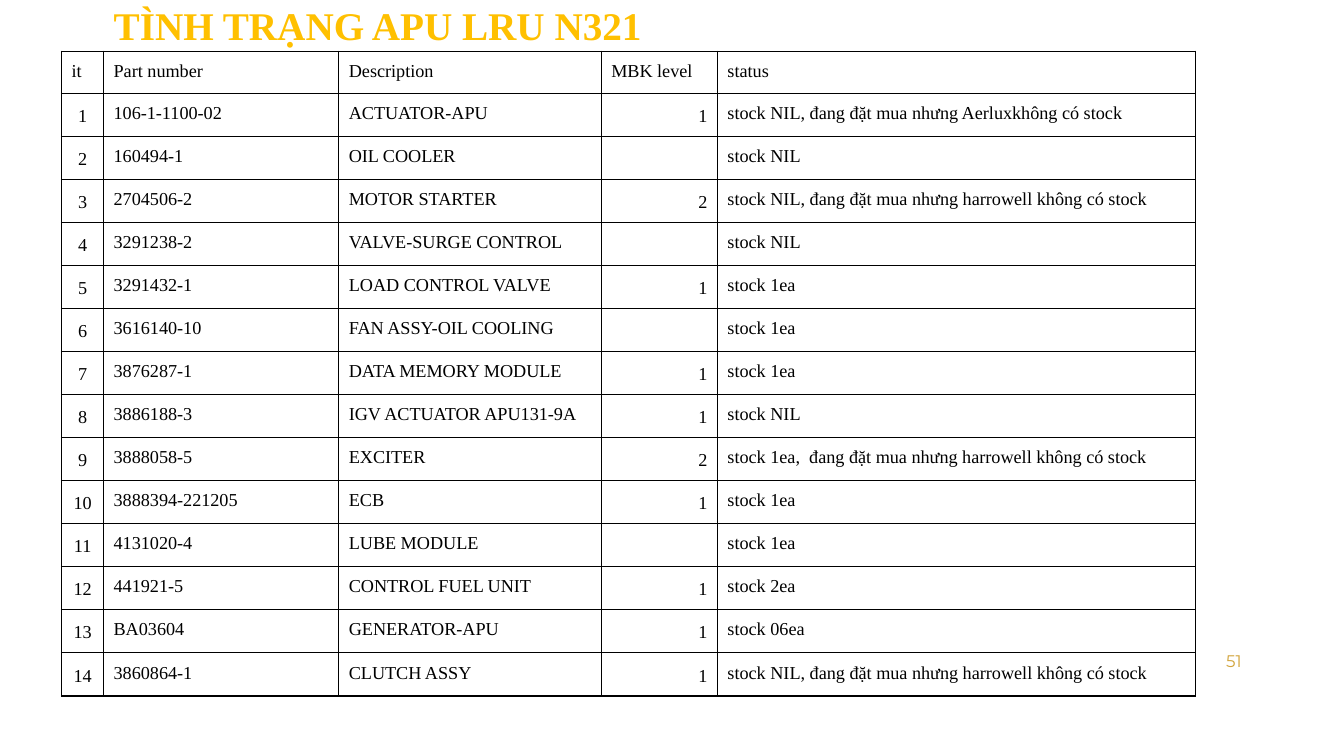
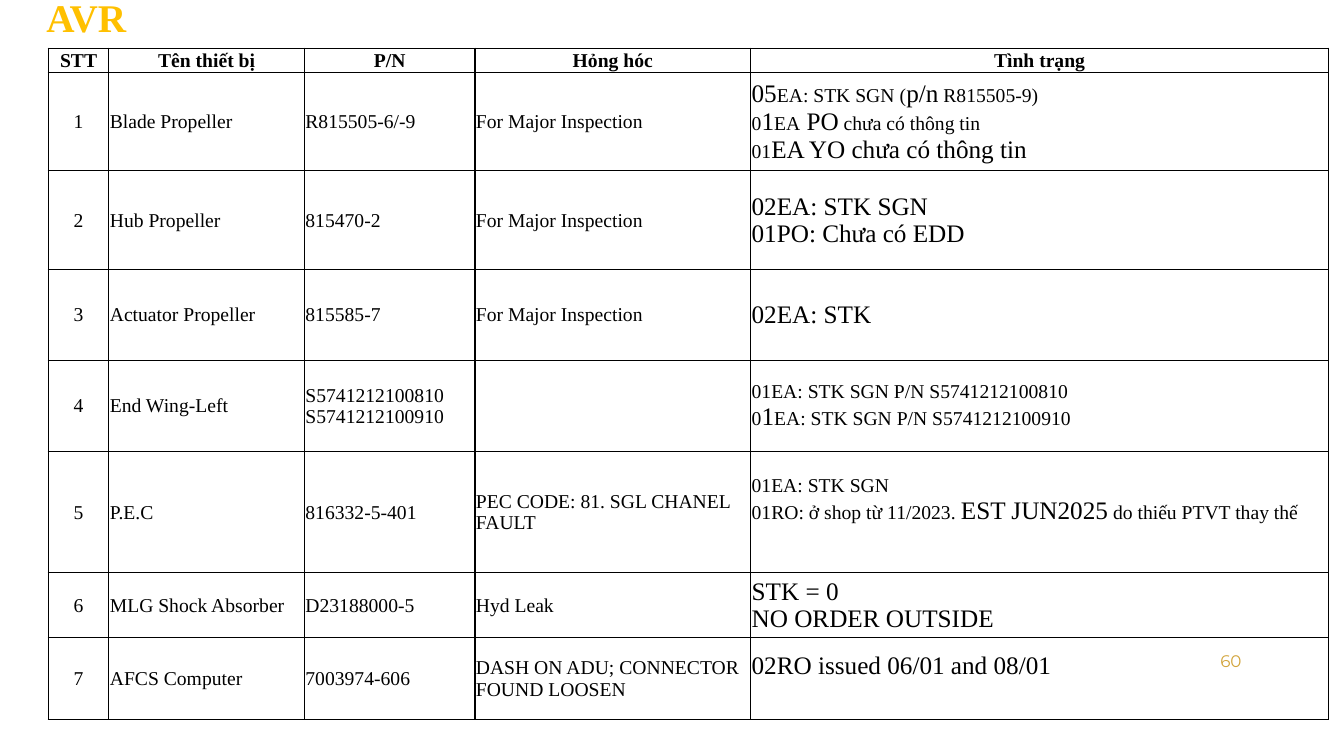
from dataclasses import dataclass

from lxml.etree import SubElement
from pptx import Presentation
from pptx.dml.color import RGBColor
from pptx.enum.text import MSO_ANCHOR, MSO_AUTO_SIZE, PP_ALIGN
from pptx.oxml.ns import qn
from pptx.util import Pt


@dataclass(frozen=True)
class Theme:
    gold: str = "FFC000"
    ochre: str = "D2A43B"
    ink: str = "000000"
    serif: str = "Times New Roman"
    sans: str = "Montserrat"
    title: float = 28
    large: float = 18
    body: float = 14
    small: float = 13
    page: float = 12


@dataclass(frozen=True)
class Grid:
    """Look of one table; pads are left, top, right, bottom."""
    box: tuple
    cols: tuple
    rows: tuple
    size: float
    pads: tuple
    aligns: dict
    anchor: MSO_ANCHOR
    head: bool = False
    loose: float = 1.0
    band: float = 0


T = Theme()

PARTS = [
    ("it", "Part number", "Description", "MBK level", "status"),
    ("1", "106-1-1100-02", "ACTUATOR-APU", "1",
     "stock NIL, đang đặt mua nhưng Aerluxkhông có stock"),
    ("2", "160494-1", "OIL COOLER", "", "stock NIL"),
    ("3", "2704506-2", "MOTOR STARTER", "2",
     "stock NIL, đang đặt mua nhưng harrowell không có stock"),
    ("4", "3291238-2", "VALVE-SURGE CONTROL", "", "stock NIL"),
    ("5", "3291432-1", "LOAD CONTROL VALVE", "1", "stock 1ea"),
    ("6", "3616140-10", "FAN ASSY-OIL COOLING", "", "stock 1ea"),
    ("7", "3876287-1", "DATA MEMORY MODULE", "1", "stock 1ea"),
    ("8", "3886188-3", "IGV ACTUATOR APU131-9A", "1", "stock NIL"),
    ("9", "3888058-5", "EXCITER", "2",
     "stock 1ea,  đang đặt mua nhưng harrowell không có stock"),
    ("10", "3888394-221205", "ECB", "1", "stock 1ea"),
    ("11", "4131020-4", "LUBE MODULE", "", "stock 1ea"),
    ("12", "441921-5", "CONTROL FUEL UNIT", "1", "stock 2ea"),
    ("13", "BA03604", "GENERATOR-APU", "1", "stock 06ea"),
    ("14", "3860864-1", "CLUTCH ASSY", "1",
     "stock NIL, đang đặt mua nhưng harrowell không có stock"),
]

# Text between asterisks is set in the large size; a bar breaks the line
FAULTS = [
    ("STT", "Tên thiết bị", "P/N", "Hỏng hóc", "Tình trạng"),
    ("1", "Blade Propeller", "R815505-6/-9", "For Major Inspection",
     "*05*EA: STK SGN (*p/n* R815505-9)\n0*1*EA* PO* chưa có thông tin|"
     "01*EA YO chưa có thông tin*"),
    ("2", "Hub Propeller", "815470-2", "For Major Inspection",
     "*02EA: STK SGN|01PO: Chưa có EDD*"),
    ("3", "Actuator Propeller", "815585-7", "For Major Inspection",
     "*02EA: STK*"),
    ("4", "End Wing-Left", "S5741212100810\nS5741212100910", "",
     "01EA: STK SGN P/N S5741212100810\n"
     "0*1*EA: STK SGN P/N S5741212100910"),
    ("5", "P.E.C", "816332-5-401", "PEC CODE: 81. SGL CHANEL FAULT",
     "01EA: STK SGN\n"
     "01RO: ở shop từ 11/2023. *EST JUN2025* do thiếu PTVT thay thế"),
    ("6", "MLG Shock Absorber", "D23188000-5", "Hyd Leak",
     "*STK = 0|NO ORDER OUTSIDE*"),
    ("7", "AFCS Computer", "7003974-606",
     "DASH ON ADU; CONNECTOR FOUND LOOSEN",
     "*02RO issued 06/01 and 08/01*"),
]

STOCK = Grid(
    box=(44, 36.5), cols=(30, 168, 187.5, 83, 341.5),
    rows=(30,) + (30.75,) * 14, size=T.small, pads=(7.2, 7.2, 7.2, 5.6),
    aligns={0: PP_ALIGN.CENTER, 3: PP_ALIGN.RIGHT},
    anchor=MSO_ANCHOR.TOP, loose=1.15)

FAULT = Grid(
    box=(34.5, 17.2), cols=(43.3, 139.7, 121.8, 197, 412.7),
    rows=(17, 70, 70.5, 65, 65, 86.5, 46.5, 58.5), size=T.body,
    pads=(0.7, 0.7, 0.7, 0), aligns={0: PP_ALIGN.CENTER},
    anchor=MSO_ANCHOR.MIDDLE, head=True, band=17.2)


def add_run(para, text, size, color=T.ink, face=T.serif, bold=False):
    run = para.add_run()
    run.text = text
    font = run.font
    font.size, font.name, font.bold = Pt(size), face, bold
    font.color.rgb = RGBColor.from_string(color)


def add_title(slide, text, left, top):
    shape = slide.shapes.title
    shape.left, shape.top = Pt(left), Pt(top)
    shape.width, shape.height = Pt(840), Pt(56)
    frame = shape.text_frame
    frame.auto_size = MSO_AUTO_SIZE.NONE
    frame.vertical_anchor = MSO_ANCHOR.MIDDLE
    para = frame.paragraphs[0]
    para.alignment, para.line_spacing = PP_ALIGN.LEFT, 0.9
    add_run(para, text, T.title, T.gold, bold=True)


def add_page(slide, num):
    box = slide.shapes.add_textbox(Pt(678), Pt(457.5), Pt(216), Pt(29))
    frame = box.text_frame
    frame.word_wrap = True
    frame.vertical_anchor = MSO_ANCHOR.MIDDLE
    para = frame.paragraphs[0]
    para.alignment = PP_ALIGN.RIGHT
    add_run(para, num, T.page, T.ochre, T.sans)


def add_edges(cell, sides="LRTB"):
    props = cell._tc.get_or_add_tcPr()
    for side in "LRTB":
        line = SubElement(props, qn(f"a:ln{side}"), w=str(Pt(1)))
        if side in sides:
            fill = SubElement(line, qn("a:solidFill"))
            SubElement(fill, qn("a:srgbClr"), val=T.ink)
        else:
            SubElement(line, qn("a:noFill"))


def set_pads(cell, pads):
    (cell.margin_left, cell.margin_top,
     cell.margin_right, cell.margin_bottom) = map(Pt, pads)


def add_band(table, grid):
    """Open band over the header, merged across the table."""
    cells = list(table.rows[0].cells)
    for cell in cells:
        add_edges(cell, "B")
        cell.fill.background()
        set_pads(cell, (0, 0, 0, 0))
        para = cell.text_frame.paragraphs[0]
        SubElement(para._p, qn("a:endParaRPr"), sz=str(int(grid.size * 100)))
    cells[0].merge(cells[-1])


def fill_para(para, line, grid, bold):
    for i, part in enumerate(line.split("*")):
        for j, piece in enumerate(part.split("|")):
            if j:
                para.add_line_break()
            if piece:
                add_run(para, piece, T.large if i % 2 else grid.size,
                        bold=bold)


def fill_cell(cell, text, grid, col, top):
    add_edges(cell)
    cell.fill.background()
    cell.vertical_anchor = grid.anchor
    if not text:
        return
    set_pads(cell, grid.pads)
    align = PP_ALIGN.LEFT if top else grid.aligns.get(col, PP_ALIGN.LEFT)
    if top and grid.head:
        align = PP_ALIGN.CENTER
    frame = cell.text_frame
    for i, line in enumerate(text.split("\n")):
        para = frame.add_paragraph() if i else frame.paragraphs[0]
        para.alignment = align
        if col in grid.aligns and not top:
            para.line_spacing = grid.loose
        fill_para(para, line, grid, top and grid.head)


def add_grid(slide, data, grid):
    left, top = grid.box
    highs = ((grid.band,) if grid.band else ()) + grid.rows
    first = len(highs) - len(data)
    table = slide.shapes.add_table(
        len(highs), len(grid.cols), Pt(left), Pt(top),
        Pt(sum(grid.cols)), Pt(sum(highs))).table
    table.first_row = table.horz_banding = False
    for col, width in zip(table.columns, grid.cols):
        col.width = Pt(width)
    for row, high in zip(table.rows, highs):
        row.height = Pt(high)
    if grid.band:
        add_band(table, grid)
    for r, texts in enumerate(data):
        for c, text in enumerate(texts):
            fill_cell(table.cell(r + first, c), text, grid, c, r == 0)
    return table


def add_sheet(deck, title, spot, num, data, grid):
    slide = deck.slides.add_slide(deck.slide_layouts[5])
    add_title(slide, title, *spot)
    add_page(slide, num)
    return add_grid(slide, data, grid)


def main():
    deck = Presentation()
    deck.slide_width, deck.slide_height = Pt(960), Pt(540)

    # Stock of parts
    add_sheet(deck, "TÌNH TRẠNG APU LRU N321", (74, -8), "51", PARTS, STOCK)

    # Faults; the status of items 5 and 7 sits above the middle
    table = add_sheet(deck, "AVR", (26, -14), "60", FAULTS, FAULT)
    for row in (6, 8):
        table.cell(row, 4).margin_bottom = Pt(18)

    deck.save("out.pptx")


if __name__ == "__main__":
    main()
